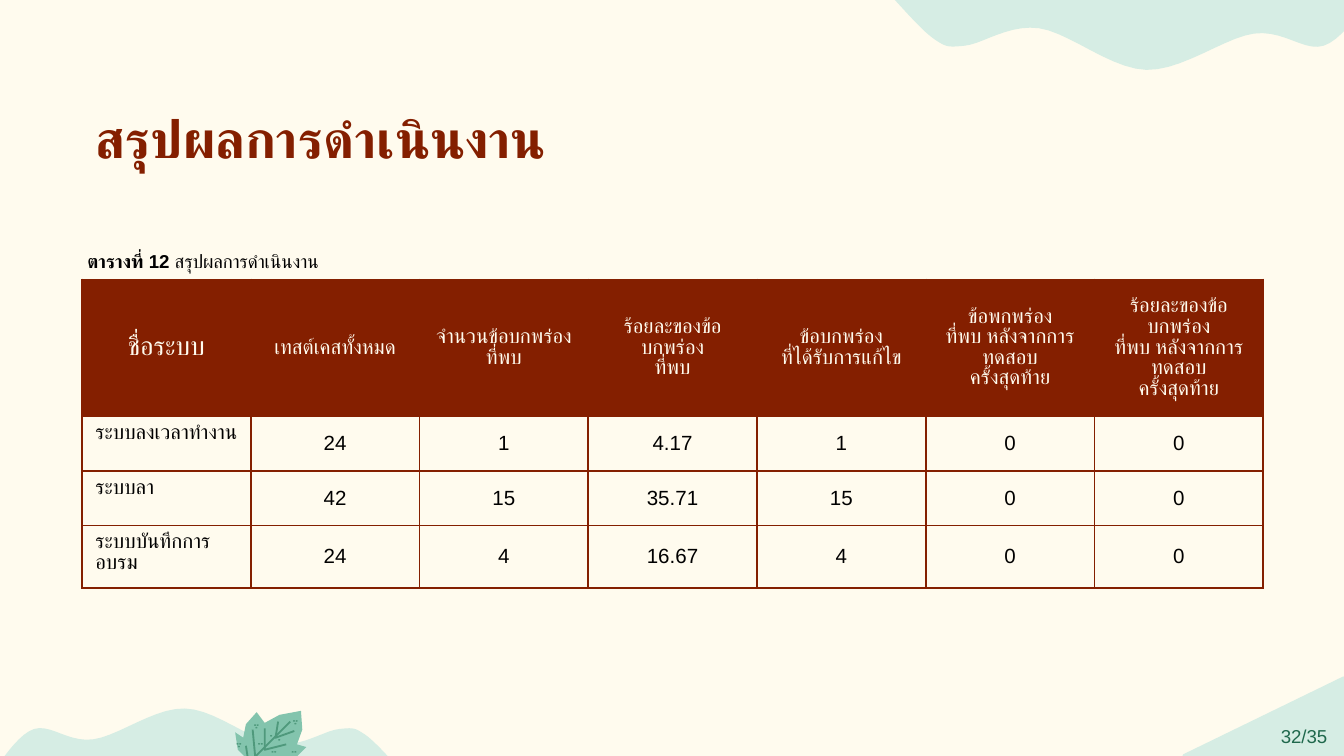
from typing import NamedTuple

from lxml import etree
from pptx import Presentation, util as u
from pptx.dml.color import RGBColor
from pptx.enum import shapes, text
from pptx.oxml import ns

CREAM = RGBColor(0xFF, 0xFB, 0xEE)
MINT = RGBColor(0xD6, 0xED, 0xE4)
LEAF_GREEN = RGBColor(0x83, 0xC4, 0xAD)
VEIN_GREEN = RGBColor(0x4F, 0x99, 0x7C)
BROWN = RGBColor(0x84, 0x1F, 0x00)
GREEN = RGBColor(0x1F, 0x68, 0x4C)
BLACK = RGBColor(0, 0, 0)
FONT = "Arial"
GRID = u.Cm(2.54) / 100
CURVE_STEPS = 10

Point = tuple[float, float]


class Box(NamedTuple):
    left: float
    top: float
    width: float
    height: float

    def lengths(self) -> list[u.Length]:
        return [u.Cm(value) for value in self]


class Style(NamedTuple):
    size: float
    color: RGBColor
    bold: bool | None = None
    align: text.PP_ALIGN | None = None


class Wave(NamedTuple):
    origin: Point
    scale: float


class Speckle(NamedTuple):
    x: int
    y: int
    count: int


WAVE_CREST = [(0, 0), (32, 32), (55, 37), (110, 24), (190, 55), (270, 28), (322, 37), (358, 0)]
WAVES = [Wave((663, -3), 1), Wave((299, 574), -0.85)]
LEAF = [(224, 529), (208, 532), (197, 538), (191, 530), (183, 539), (181, 549), (175, 545),
        (177, 558), (187, 568), (204, 575), (212, 574), (205, 569), (220, 564), (228, 556),
        (221, 554), (225, 543)]
VEINS = [
    [(168, 575), (190, 563), (216, 537)],
    [(207, 537), (205, 549), (219, 544)],
    [(197, 542), (197, 558), (213, 554)],
    [(188, 543), (190, 564), (213, 564)],
    [(183, 555), (185, 568), (201, 570)],
]
SPECKLE_OFFSETS = [(0, 0), (2, 0), (1, 2)]
SPECKLES = [Speckle(189, 539, 3), Speckle(218, 536, 3), Speckle(176, 553, 3),
            Speckle(202, 559, 2), Speckle(217, 559, 2), Speckle(192, 553, 2),
            Speckle(207, 550, 1), Speckle(201, 547, 1)]

ROWS = [
    ["ชื่อระบบ", "เทสต์เคสทั้งหมด", "จำนวนข้อบกพร่อง\nที่พบ", "ร้อยละของข้อบกพร่อง\nที่พบ",
     "ข้อบกพร่อง\nที่ได้รับการแก้ไข", "ข้อพกพร่อง\nที่พบ หลังจากการทดสอบ\nครั้งสุดท้าย",
     "ร้อยละของข้อบกพร่อง\nที่พบ หลังจากการทดสอบ\nครั้งสุดท้าย"],
    ["ระบบลงเวลาทำงาน", "24", "1", "4.17", "1", "0", "0"],
    ["ระบบลา", "42", "15", "35.71", "15", "0", "0"],
    ["ระบบบันทึกการอบรม", "24", "4", "16.67", "4", "0", "0"],
]
ROW_HEIGHTS = [2.59, 1.03, 1.03, 1.17]


def fill_plain(shape, color: RGBColor) -> None:
    shape.shadow.inherit = False
    shape.fill.solid()
    shape.fill.fore_color.rgb = color
    shape.line.fill.background()


def style_paragraph(paragraph, style: Style) -> None:
    font = paragraph.font
    font.name, font.size, font.bold = FONT, u.Pt(style.size), style.bold
    font.color.rgb = style.color
    paragraph.alignment = style.align


def smooth(points: list[Point]) -> list[Point]:
    padded = [points[0], *points, points[-1]]
    curve = [points[0]]
    for before, start, end, after in zip(padded, padded[1:], padded[2:], padded[3:]):
        for step in range(1, CURVE_STEPS + 1):
            t = step / CURVE_STEPS
            curve.append(tuple(
                b + t * (c - a) / 2 + t * t * (a - 2.5 * b + 2 * c - d / 2)
                + t ** 3 * (3 * (b - c) + d - a) / 2
                for a, b, c, d in zip(before, start, end, after)))
    return curve


def draw_path(slide, points: list[Point], close: bool):
    start, *rest = [(x * GRID, y * GRID) for x, y in points]
    builder = slide.shapes.build_freeform(*start)
    builder.add_line_segments(rest, close=close)
    return builder.convert_to_shape()


def draw_wave(slide, wave: Wave) -> None:
    left, top = wave.origin
    points = [(left + wave.scale * x, top + wave.scale * y) for x, y in smooth(WAVE_CREST)]
    fill_plain(draw_path(slide, points, True), MINT)


def draw_leaf(slide) -> None:
    fill_plain(draw_path(slide, LEAF, True), LEAF_GREEN)
    for vein in VEINS:
        shape = draw_path(slide, vein, False)
        shape.shadow.inherit = False
        shape.fill.background()
        shape.line.color.rgb = VEIN_GREEN
        shape.line.width = u.Pt(1)
    for speckle in SPECKLES:
        for across, down in SPECKLE_OFFSETS[:speckle.count]:
            left, top = (speckle.x + across) * GRID, (speckle.y + down) * GRID
            dot = slide.shapes.add_shape(shapes.MSO_SHAPE.OVAL, u.Emu(int(left)),
                                         u.Emu(int(top)), u.Cm(0.04), u.Cm(0.03))
            fill_plain(dot, VEIN_GREEN)


def draw_text(slide, box: Box, runs: list[tuple[str, bool]], style: Style) -> None:
    frame = slide.shapes.add_textbox(*box.lengths()).text_frame
    frame.word_wrap = True
    frame.auto_size = text.MSO_AUTO_SIZE.SHAPE_TO_FIT_TEXT
    paragraph = frame.paragraphs[0]
    style_paragraph(paragraph, style)
    for words, bold in runs:
        run = paragraph.add_run()
        run.text = words
        run.font.bold = bold


def add_borders(cell, color: RGBColor) -> None:
    properties = cell._tc.get_or_add_tcPr()
    for side in ("a:lnL", "a:lnR", "a:lnT", "a:lnB"):
        line = etree.SubElement(properties, ns.qn(side), w=str(u.Pt(1)))
        solid = etree.SubElement(line, ns.qn("a:solidFill"))
        etree.SubElement(solid, ns.qn("a:srgbClr"), val=str(color))


def draw_table(slide, box: Box) -> None:
    table = slide.shapes.add_table(len(ROWS), len(ROWS[0]), *box.lengths()).table
    table.first_row = table.horz_banding = False
    for row, height in zip(table.rows, ROW_HEIGHTS):
        row.height = u.Cm(height)
    for r, values in enumerate(ROWS):
        for c, value in enumerate(values):
            cell = table.cell(r, c)
            cell.text = value
            add_borders(cell, BROWN)
            is_header, is_name = r == 0, r > 0 and c == 0
            if is_header:
                cell.fill.solid()
                cell.fill.fore_color.rgb = BROWN
            else:
                cell.fill.background()
            cell.vertical_anchor = text.MSO_ANCHOR.TOP if is_name else text.MSO_ANCHOR.MIDDLE
            style = Style(14 if r == c == 0 else 11, CREAM if is_header else BLACK,
                          align=text.PP_ALIGN.LEFT if is_name else text.PP_ALIGN.CENTER)
            for paragraph in cell.text_frame.paragraphs:
                style_paragraph(paragraph, style)


def draw_page_number(slide, box: Box, number: str) -> None:
    corner = slide.shapes.add_shape(shapes.MSO_SHAPE.ISOSCELES_TRIANGLE, *box.lengths())
    corner.adjustments[0] = 1
    fill_plain(corner, MINT)
    corner.line.color.rgb = MINT
    corner.line.width = u.Pt(2)
    frame = corner.text_frame
    frame.text = number
    frame.vertical_anchor = text.MSO_ANCHOR.MIDDLE
    style_paragraph(frame.paragraphs[0], Style(10, GREEN, align=text.PP_ALIGN.CENTER))


def main() -> None:
    presentation = Presentation()
    presentation.slide_width, presentation.slide_height = u.Cm(25.4), u.Cm(14.29)
    slide = presentation.slides.add_slide(presentation.slide_layouts[6])
    slide.background.fill.solid()
    slide.background.fill.fore_color.rgb = CREAM
    for wave in WAVES:
        draw_wave(slide, wave)
    draw_leaf(slide)
    draw_text(slide, Box(1.55, 1.88, 19.15, 1.45), [("สรุปผลการดำเนินงาน", True)],
              Style(28, BROWN, True))
    draw_table(slide, Box(1.55, 5.28, 22.33, sum(ROW_HEIGHTS)))
    draw_text(slide, Box(1.4, 4.6, 18.82, 0.69),
              [("ตารางที่ 12", True), (" สรุปผลการดำเนินงาน", False)], Style(10, BLACK))
    draw_page_number(slide, Box(22.38, 12.82, 3.02, 1.47), "32/35")
    presentation.save("out.pptx")


if __name__ == "__main__":
    main()
